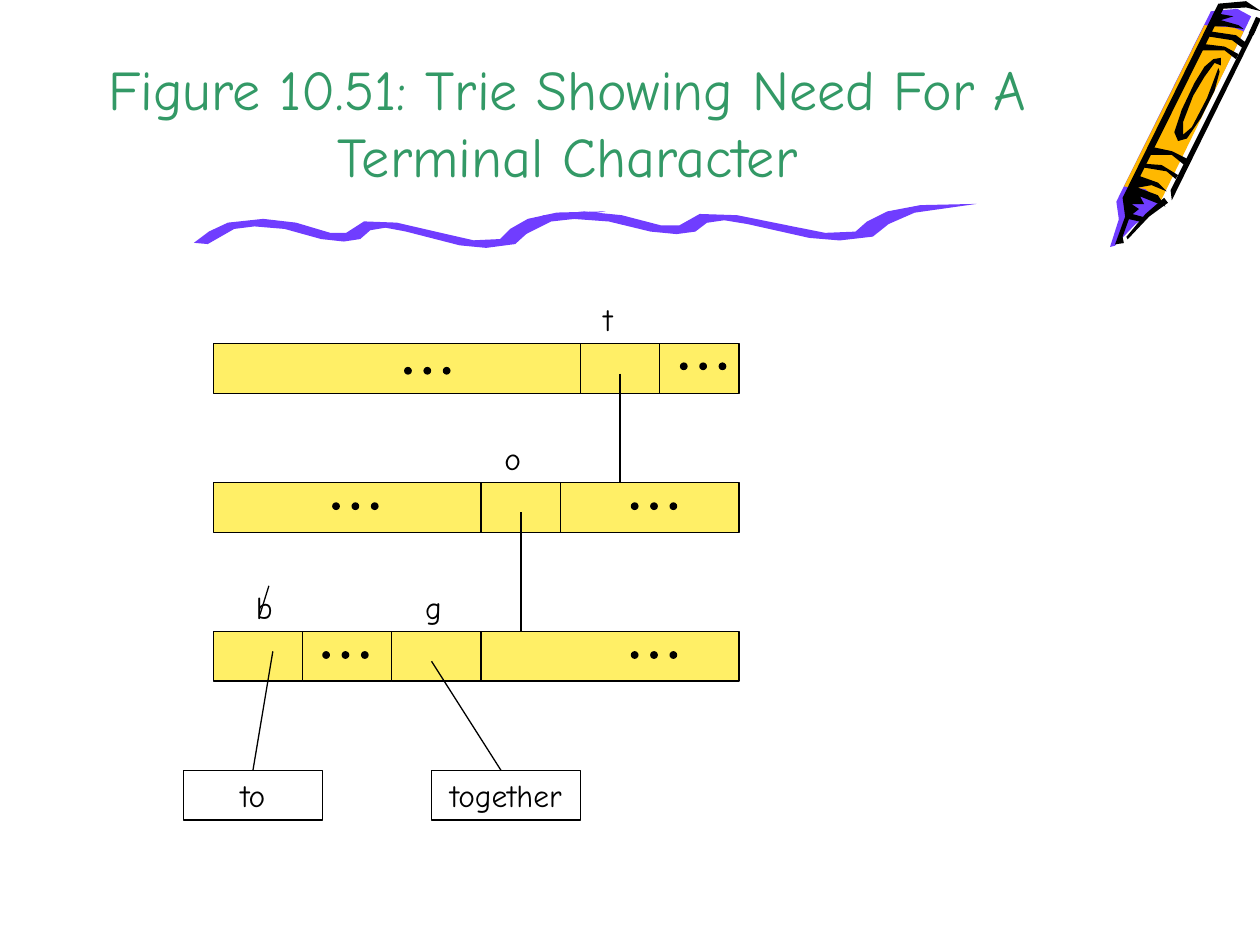
from lxml import etree
from pptx import Presentation
from pptx.dml.color import RGBColor
from pptx.enum.shapes import MSO_CONNECTOR, MSO_SHAPE
from pptx.enum.text import MSO_ANCHOR, PP_ALIGN
from pptx.oxml.ns import qn
from pptx.util import Cm, Pt

RECTANGLE, OVAL = MSO_SHAPE.RECTANGLE, MSO_SHAPE.OVAL
STRAIGHT = MSO_CONNECTOR.STRAIGHT
TOP, MIDDLE, BOTTOM = MSO_ANCHOR.TOP, MSO_ANCHOR.MIDDLE, MSO_ANCHOR.BOTTOM
LEFT, CENTER = PP_ALIGN.LEFT, PP_ALIGN.CENTER

FONT = "Comic Neue"
COLORS = {"title": "339966", "ink": "000000", "cell": "FFEF66",
          "violet": "703DFF", "crayon": "FFB800"}

# Outline points are in hundredths of an inch from the corner of their box
UNIT = Cm(2.54) / 100
CRAYON_PARTS = [
    ("violet", [(193, 13), (117, 166), (101, 178), (85, 195), (81, 196),
                (88, 174), (86, 160), (161, 9), (182, 7)]),
    ("crayon", [(121, 160), (109, 150), (92, 148), (156, 20), (179, 22), (187, 25)]),
    # Tip edge and end cap
    ("ink", [(127, 161), (112, 172), (95, 190), (94, 188), (109, 170), (124, 157)]),
    ("ink", [(187, 23), (173, 21), (161, 21), (168, 11), (179, 13), (169, 16), (183, 20)]),
    # Oval label
    ("ink", [(168, 57), (164, 72), (153, 94), (142, 110), (135, 112), (132, 105),
             (138, 87), (148, 66), (156, 53), (163, 47), (169, 46), (169, 52),
             (164, 50), (156, 61), (147, 76), (139, 97), (139, 107), (146, 101),
             (158, 78), (167, 54)]),
    # Right and left edges
    ("ink", [(197, 23), (130, 159), (129, 151), (193, 23)]),
    ("ink", [(125, 164), (119, 155), (103, 149), (114, 147), (126, 152), (119, 145),
             (105, 140), (171, 7), (189, 6), (201, 9), (189, 1), (167, 3), (91, 157),
             (93, 172), (85, 194), (92, 193), (91, 188), (96, 174), (105, 176),
             (110, 173), (99, 170), (104, 166), (98, 162), (108, 162), (105, 156)]),
    # Wrapper bands
    ("ink", [(133, 142), (126, 136), (108, 133), (109, 130), (122, 131), (135, 139)]),
    ("ink", [(140, 131), (130, 123), (113, 123), (116, 117), (130, 120), (142, 126)]),
    ("ink", [(181, 47), (172, 40), (153, 40), (156, 35), (172, 37), (183, 43)]),
    ("ink", [(186, 38), (178, 32), (159, 29), (161, 25), (181, 28), (189, 34)]),
]
WAVE = [(11, 26), (32, 14), (48, 12), (72, 14), (101, 22), (119, 24), (132, 22),
        (140, 15), (152, 13), (168, 16), (211, 27), (232, 29), (255, 26), (266, 16),
        (284, 7), (327, 0), (288, 1), (265, 6), (251, 14), (243, 22), (222, 23),
        (200, 18), (161, 9), (135, 8), (121, 17), (108, 17), (81, 9), (55, 6),
        (27, 9), (12, 16), (0, 25)]

# Trie rows: top, cell widths, dot groups (x, y), letters (x, text)
ROW_HEIGHT = 1
ROWS = [
    (0, [7.4, 1.6, 1.6], [(3.86, 0.48), (9.42, 0.39)], [(7.62, "t")]),
    (2.8, [5.4, 1.6, 3.6], [(2.41, 0.41), (8.43, 0.41)], [(5.62, "o")]),
    (5.8, [1.8, 1.8, 1.8, 5.2], [(2.21, 0.41), (8.43, 0.41)],
     [(0.61, "b"), (4.02, "g")]),
]
WORDS = [(-0.6, 2.8, "to"), (4.4, 3, "together")]
WORD_TOP = 8.6
LINKS = [(8.2, 0.6, 8.2, 2.8), (6.2, 3.4, 6.2, 5.8),
         (1.2, 6.2, 0.8, WORD_TOP), (4.4, 6.4, 5.8, WORD_TOP),
         (1.12, 4.88, 0.94, 5.46)]  # the last one strokes the blank sign
DOT_SIZE, DOT_STEP = 0.13, 0.39


def color(name):
    return RGBColor.from_string(COLORS[name])


def write(shape, text, size, ink, align, anchor, wrap=True):
    frame = shape.text_frame
    frame.word_wrap = wrap
    frame.vertical_anchor = anchor
    paragraph = frame.paragraphs[0]
    paragraph.text = text
    paragraph.alignment = align
    paragraph.font.name = FONT
    paragraph.font.size = Pt(size)
    paragraph.font.color.rgb = color(ink)


def add_text(slide, left, top, width, height, *style):
    box = slide.shapes.add_textbox(Cm(left), Cm(top), Cm(width), Cm(height))
    write(box, *style)


def add_block(slide, kind, left, top, width, height, fill=None):
    shape = slide.shapes.add_shape(kind, Cm(left), Cm(top), Cm(width), Cm(height))
    shape.shadow.inherit = False
    if fill:
        shape.fill.solid()
        shape.fill.fore_color.rgb = color(fill)
    else:
        shape.fill.background()
    shape.line.color.rgb = color("ink")
    shape.line.width = Pt(0.75)
    return shape


def add_line(slide, x1, y1, x2, y2, width=0.75):
    line = slide.shapes.add_connector(STRAIGHT, Cm(x1), Cm(y1), Cm(x2), Cm(y2))
    line.line.color.rgb = color("ink")
    line.line.width = Pt(width)
    etree.SubElement(line._element.spPr, qn("a:effectLst"))


def add_outline(slide, left, top, points, fill, stretch=1):
    builder = slide.shapes.build_freeform(*points[0], scale=(UNIT * stretch, UNIT))
    builder.add_line_segments(points[1:], close=True)
    shape = builder.convert_to_shape(Cm(left), Cm(top))
    shape.shadow.inherit = False
    shape.fill.solid()
    shape.fill.fore_color.rgb = color(fill)
    shape.line.fill.background()


def draw_crayon(slide, left, top):
    for fill, points in CRAYON_PARTS:
        add_outline(slide, left, top, points, fill)
    add_line(slide, left + 5.05, top + 0.36, left + 4.9, top + 0.69, 3)


def draw_underline(slide, left, top):
    add_outline(slide, left, top + 0.15, WAVE, "violet")
    add_outline(slide, left + 6.27, top, WAVE, "violet", 1.145)


def draw_title(slide, left, top, width, height):
    add_text(slide, left, top, width, height,
             "Figure 10.51: Trie Showing Need For A Terminal Character",
             32, "title", CENTER, BOTTOM)


def draw_row(slide, left, top, widths, dot_groups, letters):
    cell_left = left
    for width in widths:
        add_block(slide, RECTANGLE, cell_left, top, width, ROW_HEIGHT, "cell")
        cell_left += width
    for x, y in dot_groups:
        for index in range(3):
            add_block(slide, OVAL, left + x + index * DOT_STEP, top + y,
                      DOT_SIZE, DOT_SIZE, "ink")
    for x, letter in letters:
        add_text(slide, left + x, top - 1, 1, 1, letter, 18, "ink", LEFT, TOP)


def draw_trie(slide, left, top):
    for row_top, *parts in ROWS:
        draw_row(slide, left, top + row_top, *parts)
    for x, width, word in WORDS:
        box = add_block(slide, RECTANGLE, left + x, top + WORD_TOP, width, ROW_HEIGHT)
        write(box, word, 18, "ink", CENTER, MIDDLE, False)
    for x1, y1, x2, y2 in LINKS:
        add_line(slide, left + x1, top + y1, left + x2, top + y2)


def main():
    presentation = Presentation()
    presentation.slide_width, presentation.slide_height = Cm(25.4), Cm(19.05)
    slide = presentation.slides.add_slide(presentation.slide_layouts[6])
    draw_crayon(slide, 20.32, 0)
    draw_underline(slide, 3.91, 4.11)
    draw_title(slide, 1.9, 0, 19.08, 3.94)
    draw_trie(slide, 4.3, 6.93)
    presentation.save("out.pptx")


if __name__ == "__main__":
    main()
